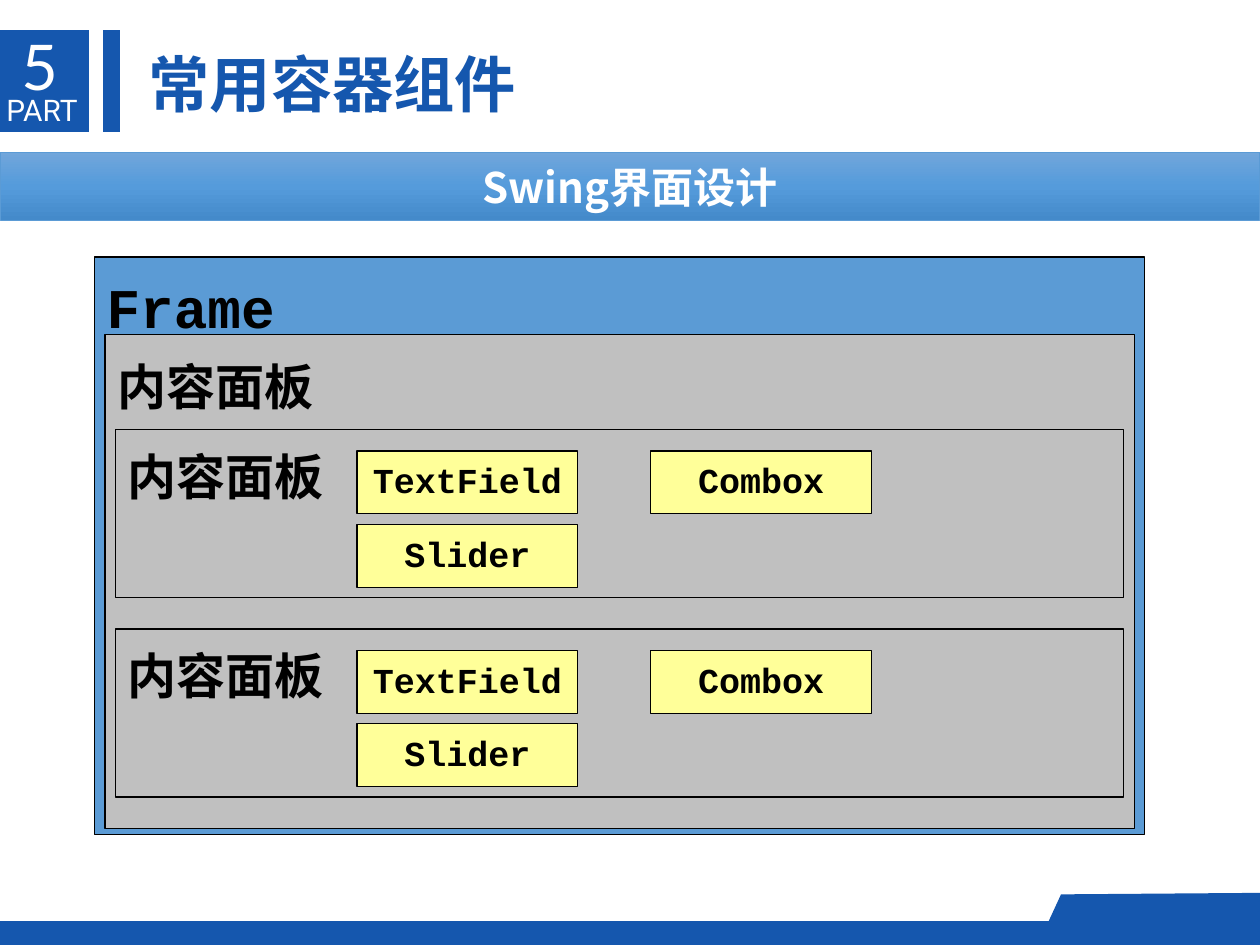
from copy import deepcopy

from lxml import etree
from pptx import Presentation
from pptx.dml.color import RGBColor
from pptx.enum.shapes import MSO_SHAPE
from pptx.enum.text import MSO_ANCHOR, MSO_AUTO_SIZE, PP_ALIGN
from pptx.oxml.ns import qn
from pptx.util import Cm, Pt

RECTANGLE = MSO_SHAPE.RECTANGLE
PROCESS = MSO_SHAPE.FLOWCHART_PROCESS
TOP, MIDDLE = MSO_ANCHOR.TOP, MSO_ANCHOR.MIDDLE
LEFT, CENTER = PP_ALIGN.LEFT, PP_ALIGN.CENTER
NO_AUTOFIT = MSO_AUTO_SIZE.NONE

COLORS = {
    "brand": "1557AE",
    "white": "FFFFFF",
    "black": "000000",
    "frame": "5B9BD5",
    "panel": "C0C0C0",
    "widget": "FFFF99",
    "banner_top": "71A6DB",
    "banner_middle": "559BDB",
    "banner_bottom": "448ACA",
}
CHINESE_FONT = "Noto Sans CJK SC"
CODE_FONT = "Courier New"
TITLE_ONLY_LAYOUT = 5


def rgb(name):
    return RGBColor.from_string(COLORS[name])


class SlideBuilder:
    def __init__(self, deck):
        self.page = deck.slides.add_slide(deck.slide_layouts[TITLE_ONLY_LAYOUT])

    def set_text(self, box, text, size, font, color, bold=False, align=LEFT, anchor=MIDDLE):
        frame = box.text_frame
        frame.text = text
        frame.vertical_anchor = anchor
        para = frame.paragraphs[0]
        para.alignment = align
        for span in para.runs:
            span.font.size = Pt(size)
            span.font.name = font
            span.font.bold = bold
            span.font.color.rgb = rgb(color)
            latin = span.font._element.find(qn("a:latin"))
            east_asian = etree.Element(qn("a:ea"), typeface=CHINESE_FONT)
            latin.addnext(east_asian)

    def title(self, text, left, top, width, height):
        box = self.page.shapes.title
        box.left, box.top, box.width, box.height = map(Cm, (left, top, width, height))
        self.set_text(box, text, 35, CHINESE_FONT, "brand", bold=True)
        box.text_frame.word_wrap = False
        box.text_frame.auto_size = NO_AUTOFIT

    def label(self, text, left, top, width, height, size, font, inset):
        box = self.page.shapes.add_textbox(Cm(left), Cm(top), Cm(width), Cm(height))
        frame = box.text_frame
        frame.word_wrap = False
        frame.margin_left = frame.margin_right = Cm(inset)
        frame.margin_top = frame.margin_bottom = Cm(0)
        self.set_text(box, text, size, font, "white")

    def block(self, left, top, width, height, fill, line=None, line_width=0.75, kind=RECTANGLE):
        box = self.page.shapes.add_shape(kind, Cm(left), Cm(top), Cm(width), Cm(height))
        self.paint(box, fill)
        if line:
            box.line.color.rgb = rgb(line)
            box.line.width = Pt(line_width)
        return box

    def paint(self, box, fill):
        box.shadow.inherit = False
        box.fill.solid()
        box.fill.fore_color.rgb = rgb(fill)
        box.line.fill.background()

    def corner(self, points):
        start, *others = [(Cm(x), Cm(y)) for x, y in points]
        outline = self.page.shapes.build_freeform(*start)
        outline.add_line_segments(others, close=True)
        self.paint(outline.convert_to_shape(), "brand")

    def banner(self, text, top, width, height):
        box = self.block(0, top, width, height, "frame", "frame", 0.5)
        box.fill.gradient()
        box.fill.gradient_angle = 270
        first, last = box.fill.gradient_stops
        first.position, last.position = 0, 0.5
        first.color.rgb = rgb("banner_top")
        last.color.rgb = rgb("banner_middle")
        stops = box._element.spPr.find(".//" + qn("a:gsLst"))
        stops.append(deepcopy(stops[-1]))
        last = box.fill.gradient_stops[2]
        last.position = 1
        last.color.rgb = rgb("banner_bottom")
        self.set_text(box, text, 24, CHINESE_FONT, "white", bold=True, align=CENTER)

    def container(self, text, left, top, width, height, fill, size, inset):
        box = self.block(left, top, width, height, fill, "black")
        self.set_text(box, text, size, CODE_FONT, "black", bold=True, anchor=TOP)
        box.text_frame.margin_top = Cm(inset)
        box.text_frame.paragraphs[0].line_spacing = 0.9

    def widget(self, text, left, top):
        box = self.block(left, top, 4.45, 1.27, "widget", "black")
        self.set_text(box, text, 20, CODE_FONT, "black", bold=True, align=CENTER)
        box.text_frame.paragraphs[0].line_spacing = 0.9


def main():
    deck = Presentation()
    deck.slide_width, deck.slide_height = Cm(25.4), Cm(19.05)
    slide = SlideBuilder(deck)

    for left, top, width, height in [(0, 0.6, 1.79, 2.06), (2.07, 0.6, 0.35, 2.06), (0, 18.57, 25.4, 0.48)]:
        slide.block(left, top, width, height, "brand", kind=PROCESS)
    slide.corner([(25.4, 18.92), (25.4, 18), (21.39, 18.03), (20.98, 18.92)])

    slide.label("PART", 0.13, 1.85, 1.52, 0.74, 17, "Roboto", inset=0)
    slide.label("5", 0.18, 0.41, 1.35, 1.8, 36, "Lato", inset=0.25)
    slide.title("常用容器组件", 2.74, 0.79, 8, 1.75)
    slide.banner("Swing界面设计", 3.07, 25.4, 1.37)

    slide.container("Frame", 1.9, 5.18, 21.17, 11.64, "frame", 32, inset=0.46)
    slide.container("内容面板", 2.12, 6.75, 20.75, 9.95, "panel", 28, inset=0.58)

    widgets = [("TextField", 0, 0), ("Slider", 0, 1), ("Combox", 1, 0)]
    for top in (8.66, 12.68):
        slide.container("内容面板", 2.33, top, 20.32, 3.39, "panel", 28, inset=0.47)
        for text, column, row in widgets:
            slide.widget(text, 7.2 + 5.92 * column, top + 0.43 + 1.48 * row)

    deck.save("out.pptx")


if __name__ == "__main__":
    main()
